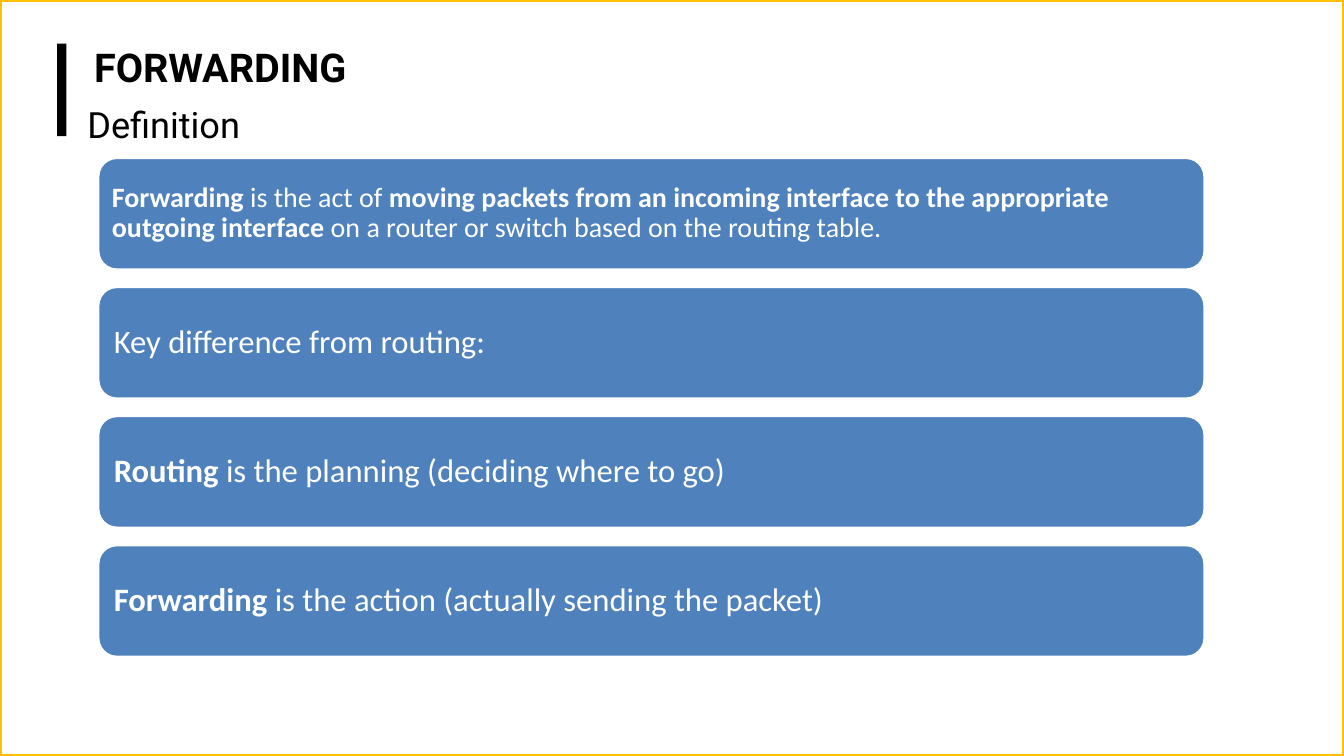
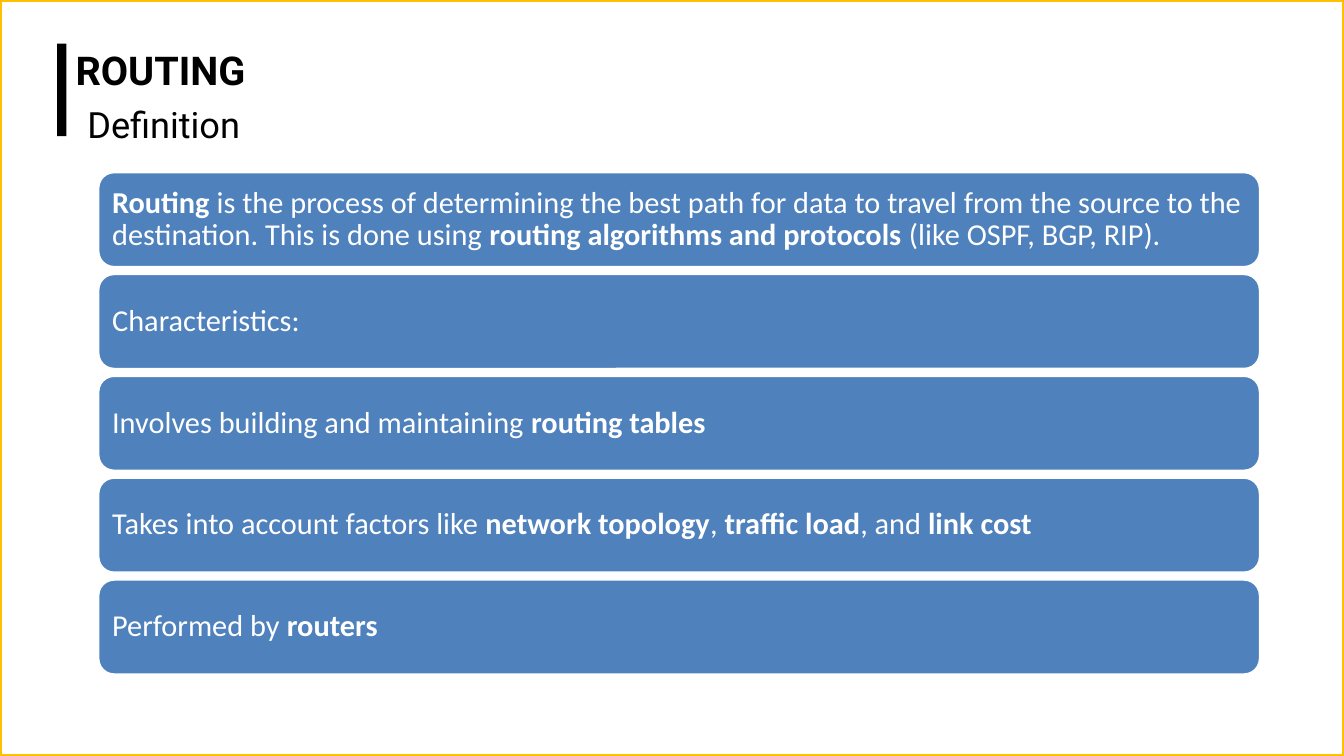
import dataclasses

import lxml.etree
import pptx
import pptx.dml.color
import pptx.enum.shapes
import pptx.enum.text
import pptx.oxml.ns
import pptx.util

Inches = pptx.util.Inches
Pt = pptx.util.Pt
RGB = pptx.dml.color.RGBColor.from_string
SHAPE = pptx.enum.shapes.MSO_SHAPE
ANCHOR = pptx.enum.text.MSO_ANCHOR


@dataclasses.dataclass(frozen=True)
class Theme:
    black: str = "000000"
    white: str = "FFFFFF"
    gold: str = "FFC000"
    blue: str = "4F81BD"
    head_font: str = "Roboto"
    body_font: str = "Calibri"
    title_size: int = 34
    subtitle_size: int = 31


theme = Theme()


def write(sp, text, *, size, font, color, bold=False, anchor=ANCHOR.TOP,
          inset_x=0.12, inset_y=0.06, line_spacing=1.0):
    """Fill sp with one left-aligned paragraph; **marks** switch bold on and off."""
    tf = sp.text_frame
    tf.word_wrap = True
    tf.auto_size = pptx.enum.text.MSO_AUTO_SIZE.NONE
    tf.vertical_anchor = anchor
    tf.margin_left = tf.margin_right = Inches(inset_x)
    tf.margin_top = tf.margin_bottom = Inches(inset_y)
    p = tf.paragraphs[0]
    p.alignment = pptx.enum.text.PP_ALIGN.LEFT
    p.line_spacing = line_spacing
    p.space_before = Pt(0)
    for i, part in enumerate(text.split("**")):
        if part:
            r = p.add_run()
            r.text = part
            r.font.name = font
            r.font.size = Pt(size)
            r.font.bold = bold or i % 2 == 1
            r.font.color.rgb = RGB(color)


def add_box(s, kind, box, fill, line=None, line_width=0):
    sp = s.shapes.add_shape(kind, *map(Inches, box))
    sp.shadow.inherit = False
    sp.fill.solid()
    sp.fill.fore_color.rgb = RGB(fill)
    if line:
        sp.line.color.rgb = RGB(line)
        sp.line.width = Pt(line_width)
    else:
        sp.line.fill.background()
    return sp


# Each card is (text, type size, inset).
slides = [
    dict(title="FORWARDING", title_at=(1, 0.45), first_top=1.88, last_top=6.49,
         card_width=13.17, card_height=1.33, cards=[
             ("**Forwarding** is the act of **moving packets from an incoming interface to the "
              "appropriate outgoing interface** on a router or switch based on the routing table.",
              24, 0.1),
             ("Key difference from routing:", 28, 0.12),
             ("**Routing** is the planning (deciding where to go)", 28, 0.12),
             ("**Forwarding** is the action (actually sending the packet)", 28, 0.12),
         ]),
    dict(title="ROUTING", title_at=(0.78, 0.49), first_top=2.05, last_top=6.9,
         card_width=13.83, card_height=1.13, cards=[
             ("**Routing** is the process of determining the best path for data to travel from "
              "the source to the destination. This is done using **routing algorithms and "
              "protocols** (like OSPF, BGP, RIP).", 26, 0.11),
             ("Characteristics:", 26, 0.11),
             ("Involves building and maintaining **routing tables**", 26, 0.11),
             ("Takes into account factors like **network topology**, **traffic load**, "
              "and **link cost**", 26, 0.11),
             ("Performed by **routers**", 26, 0.11),
         ]),
]

prs = pptx.Presentation()
prs.slide_width, prs.slide_height = Inches(16), Inches(9)
layout = prs.slide_layouts.get_by_name("Title Only")

for content in slides:
    s = prs.slides.add_slide(layout)

    title = s.shapes.title
    title.left, title.top = map(Inches, content["title_at"])
    title.width, title.height = Inches(8.15), Inches(0.58)
    write(title, content["title"], size=theme.title_size, font=theme.head_font,
          color=theme.black, bold=True)

    subtitle = s.shapes.add_textbox(Inches(0.92), Inches(1.16), Inches(8.13), Inches(0.57))
    write(subtitle, "Definition", size=theme.subtitle_size, font=theme.head_font,
          color=theme.black)

    first_top, cards = content["first_top"], content["cards"]
    pitch = (content["last_top"] - first_top) / (len(cards) - 1)
    for i, (text, size, inset) in enumerate(cards):
        box = (1.17, first_top + i * pitch, content["card_width"], content["card_height"])
        card = add_box(s, SHAPE.ROUNDED_RECTANGLE, box, theme.blue, theme.white, 2)
        write(card, text, size=size, font=theme.body_font, color=theme.white,
              anchor=ANCHOR.MIDDLE, inset_x=inset, inset_y=inset, line_spacing=0.9)

# The frame and the title bar belong to the layout: draw them, then move them there.
frame = add_box(s, SHAPE.RECTANGLE, (0, 0, 16, 9), theme.white, theme.gold, 3)
qn = pptx.oxml.ns.qn
frame_color = frame.element.spPr.find(qn("a:solidFill")).find(qn("a:srgbClr"))
lxml.etree.SubElement(frame_color, qn("a:alpha")).set("val", "49000")
bar = add_box(s, SHAPE.RECTANGLE, (0.68, 0.52, 0.11, 1.1), theme.black)
for i, sp in enumerate((frame, bar)):
    sp.element.nvSpPr.cNvPr.set("id", str(100 + i))
    layout.shapes.element.insert(2 + i, sp.element)

prs.save("out.pptx")
